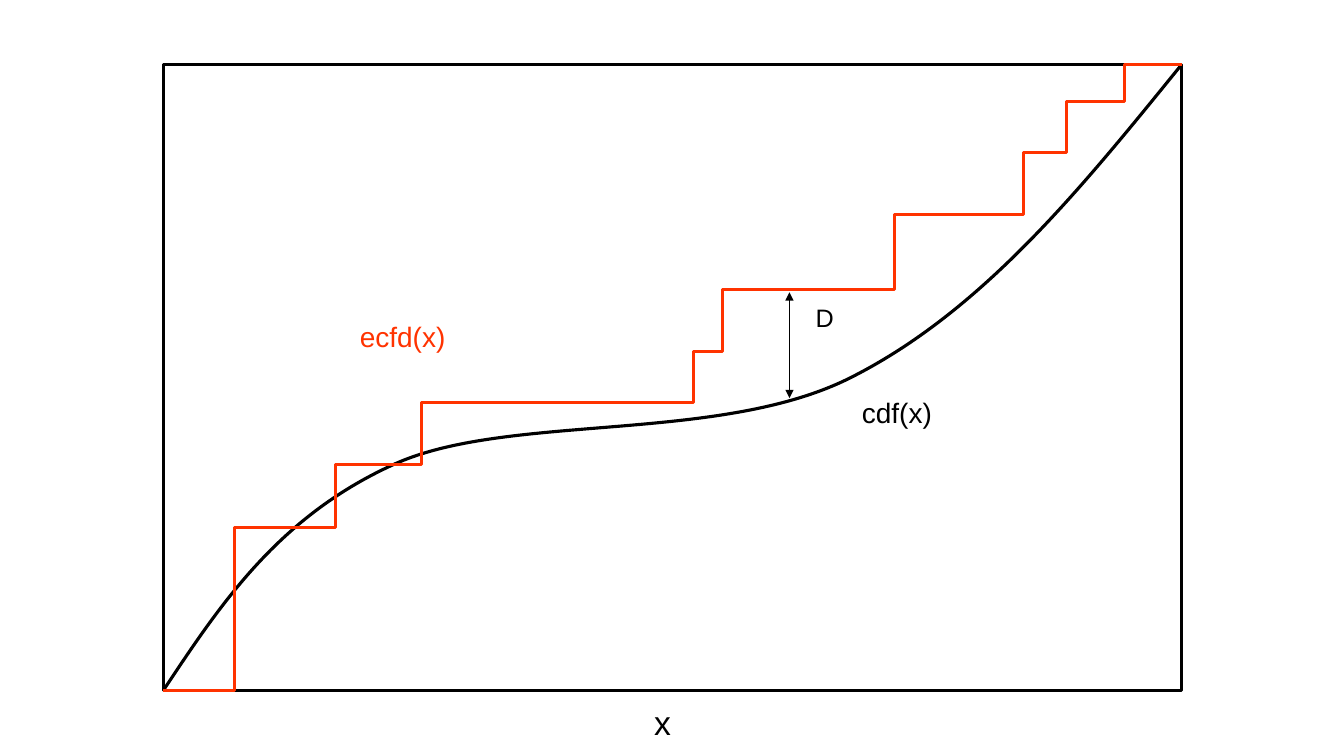
from pptx import Presentation
from pptx.dml.color import RGBColor
from pptx.enum.shapes import MSO_CONNECTOR, MSO_SHAPE
from pptx.oxml.ns import qn
from pptx.util import Inches, Pt
from lxml.etree import SubElement

BLACK = "000000"
RED = "FF3300"
LEFT, TOP, WIDTH, HEIGHT = 1.62, 0.64, 10.1, 6.21
RIGHT, BOTTOM = LEFT + WIDTH, TOP + HEIGHT

CDF_POINTS = [
    (LEFT, BOTTOM),
    (2.19, 5.99), (2.76, 5.13), (3.9, 4.61),
    (5.03, 4.09), (7.14, 4.41), (8.45, 3.74),
    (9.75, 3.08), (10.73, 1.86), (RIGHT, TOP),
]
ECDF_JUMPS = [
    (2.33, 5.23), (3.33, 4.61), (4.18, 3.99), (6.88, 3.49), (7.17, 2.87),
    (8.87, 2.13), (10.15, 1.51), (10.58, 1.01), (11.15, TOP),
]
LABELS = [
    ("cdf(x)", 8.45, 3.87, 0.9, 0.44, 20, BLACK),
    ("ecfd(x)", 3.47, 3.12, 1.06, 0.44, 20, RED),
    ("x", 6.39, 6.91, 0.69, 0.82, 24, BLACK),
    ("D", 7.99, 2.95, 0.71, 0.66, 18, BLACK),
]


def color(value):
    return RGBColor.from_string(value)


def step_points(jumps):
    points = [(LEFT, BOTTOM)]
    for x, y in jumps:
        points += [(x, points[-1][1]), (x, y)]
    return points + [(RIGHT, TOP)]


class Diagram:
    font_name = "Arial"
    line_width = 2.25

    def __init__(self, page):
        self.shapes = page.shapes.add_group_shape().shapes

    def outline(self, shape, line_color):
        shape.shadow.inherit = False
        shape.fill.background()
        shape.line.color.rgb = color(line_color)
        shape.line.width = Pt(self.line_width)

    def frame(self, left, top, width, height, line_color):
        box = self.shapes.add_shape(
            MSO_SHAPE.RECTANGLE,
            Inches(left), Inches(top), Inches(width), Inches(height))
        self.outline(box, line_color)

    def polyline(self, points, line_color):
        corners = [(Inches(x), Inches(y)) for x, y in points]
        builder = self.shapes.build_freeform(*corners[0])
        builder.add_line_segments(corners[1:], close=False)
        shape = builder.convert_to_shape()
        self.outline(shape, line_color)
        return shape

    def curve(self, points, line_color):
        shape = self.polyline(points, line_color)
        segments = list(shape._element.iter(qn("a:lnTo")))
        outline = segments[0].getparent()
        for start in range(0, len(segments), 3):
            bezier = SubElement(outline, qn("a:cubicBezTo"))
            for segment in segments[start:start + 3]:
                bezier.append(segment[0])
                outline.remove(segment)

    def double_arrow(self, x, top, bottom, line_color):
        arrow = self.shapes.add_connector(
            MSO_CONNECTOR.STRAIGHT,
            Inches(x), Inches(top), Inches(x), Inches(bottom))
        arrow.line.color.rgb = color(line_color)
        arrow.line.width = Pt(0.75)
        line = arrow.line._get_or_add_ln()
        for end in ("a:headEnd", "a:tailEnd"):
            SubElement(line, qn(end), type="triangle")
        SubElement(arrow._element.spPr, qn("a:effectLst"))

    def label(self, text, left, top, width, height, size, text_color):
        box = self.shapes.add_textbox(
            Inches(left), Inches(top), Inches(width), Inches(height))
        frame = box.text_frame
        frame.word_wrap = True
        frame.margin_right = 0
        para = frame.paragraphs[0]
        para.text = text
        para.font.name = self.font_name
        para.font.size = Pt(size)
        para.font.color.rgb = color(text_color)


def main():
    deck = Presentation()
    deck.slide_width = Inches(13.33)
    deck.slide_height = Inches(7.5)
    page = deck.slides.add_slide(deck.slide_layouts[6])

    diagram = Diagram(page)
    diagram.frame(LEFT, TOP, WIDTH, HEIGHT, BLACK)
    diagram.curve(CDF_POINTS, BLACK)
    diagram.polyline(step_points(ECDF_JUMPS), RED)
    diagram.double_arrow(7.83, 2.9, 3.95, BLACK)
    for label in LABELS:
        diagram.label(*label)

    deck.save("out.pptx")


if __name__ == "__main__":
    main()
